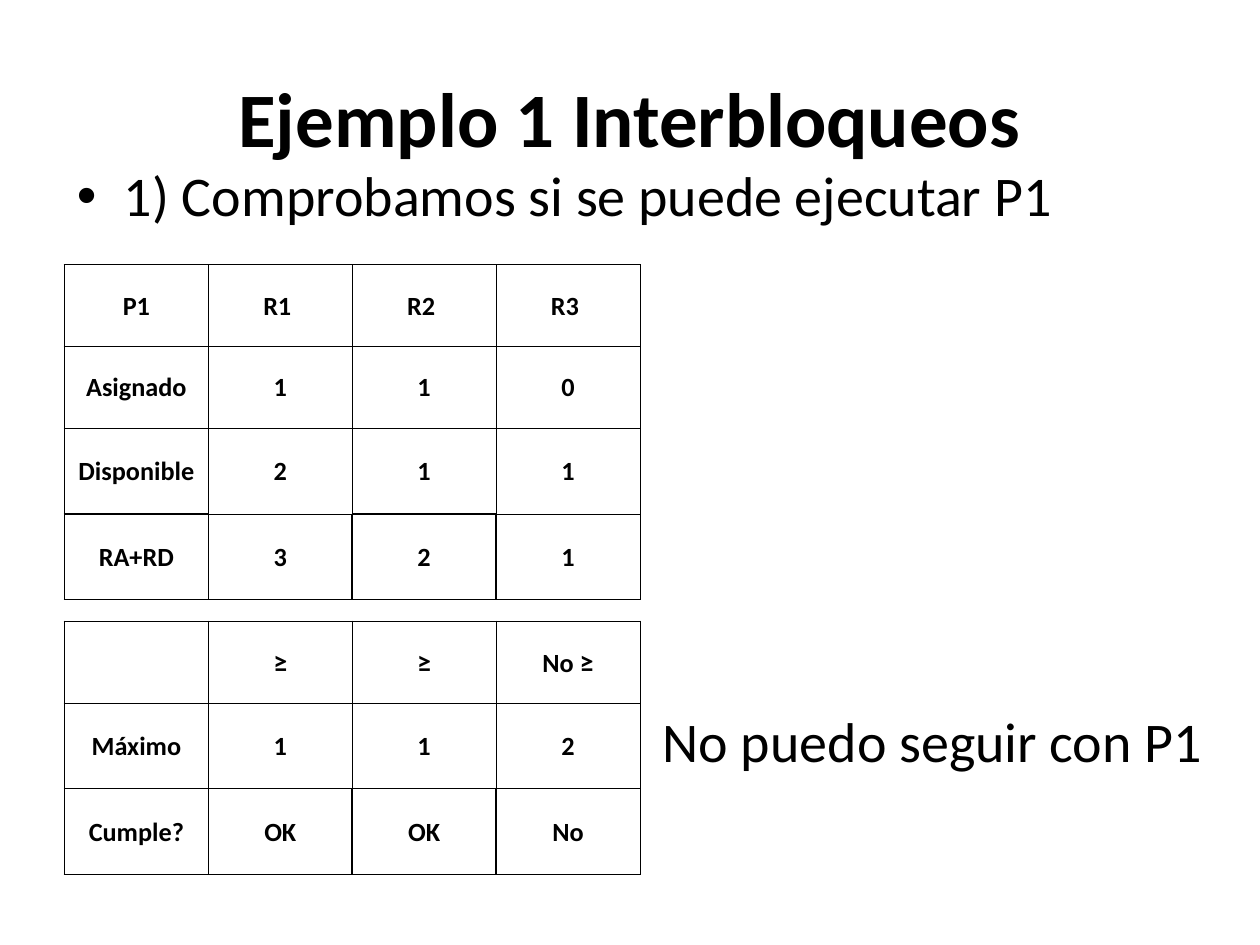
from lxml import etree
from pptx import Presentation, util as u
from pptx.dml.color import RGBColor
from pptx.enum import text
from pptx.oxml.ns import qn

BLACK = RGBColor(0x00, 0x00, 0x00)
THIN, THICK = u.Pt(0.5), u.Pt(1)
LABEL_SIZE, SIGN_SIZE = 15, 16


def write(paragraph, words, size, bold=False):
    run = paragraph.add_run()
    run.text = words
    run.font.color.rgb = BLACK
    font_format = {"name": "Calibri", "size": u.Pt(size), "bold": bold}
    for key, value in font_format.items():
        setattr(run.font, key, value)


def border(cell, side, width):
    line = etree.SubElement(cell._tc.get_or_add_tcPr(), qn(f"a:ln{side}"), w=str(width))
    fill = etree.SubElement(line, qn("a:solidFill"))
    etree.SubElement(fill, qn("a:srgbClr"), val=str(BLACK))


deck = Presentation()
deck.slide_width, deck.slide_height = u.Cm(25.4), u.Cm(19.05)
slide = deck.slides.add_slide(deck.slide_layouts[6])

# Title, step and conclusion: box in cm, anchor, alignment, size, bold, hanging indent, bullet
MIDDLE, TOP = text.MSO_ANCHOR.MIDDLE, text.MSO_ANCHOR.TOP
CENTER, LEFT = text.PP_ALIGN.CENTER, text.PP_ALIGN.LEFT
statements = [
    ("Ejemplo 1 Interbloqueos", (1.27, 0.76, 22.86, 3.18), MIDDLE, CENTER, 44, True, 0, None),
    ("No puedo seguir con P1", (13.11, 14.12, 11.4, 3.4), TOP, LEFT, 32, False, 0.95, None),
    ("1) Comprobamos si se puede ejecutar P1", (1.3, 3.12, 22.6, 2.21), TOP, LEFT, 32, False, 0.95, "•"),
]
for words, box, anchor, align, size, bold, indent, bullet in statements:
    frame = slide.shapes.add_textbox(*map(u.Cm, box)).text_frame
    frame.word_wrap = True
    frame.vertical_anchor = anchor
    paragraph = frame.paragraphs[0]
    paragraph.alignment = align
    properties = paragraph._p.get_or_add_pPr()
    properties.set("marL", str(u.Cm(indent)))
    properties.set("indent", str(-u.Cm(indent)))
    if bullet:
        etree.SubElement(properties, qn("a:buFont"), typeface="Arial")
        etree.SubElement(properties, qn("a:buChar"), char=bullet)
    write(paragraph, words, size, bold)

# Resources of P1, then the check against its maximum: top and row heights in cm
resources = [
    ["P1", "R1 ", "R2 ", "R3 "],
    ["Asignado", "1", "1", "0"],
    ["Disponible", "2", "1", "1"],
    ["RA+RD", "3", "2", "1"],
]
check = [
    ["", "≥", "≥", "No ≥"],
    ["Máximo", "1", "1", "2"],
    ["Cumple?", "OK", "OK", "No"],
]
cell_format = {
    "margin_left": u.Cm(0.03), "margin_right": u.Cm(0.03),
    "margin_top": u.Cm(0.03), "margin_bottom": 0,
    "vertical_anchor": MIDDLE,
}
for rows, top, heights in [
    (resources, 5.33, [1.65, 1.65, 1.73, 1.73]),
    (check, 12.52, [1.65, 1.73, 1.73]),
]:
    grid = slide.shapes.add_table(
        len(rows), 4, u.Cm(1.3), u.Cm(top), u.Cm(11.6), u.Cm(sum(heights))
    ).table
    grid.first_row = grid.horz_banding = False
    for column in grid.columns:
        column.width = u.Cm(2.9)
    last = len(rows) - 1
    for r, (values, height) in enumerate(zip(rows, heights)):
        grid.rows[r].height = u.Cm(height)
        # Numbers of the vertical grid lines that are thick in this row
        thick_lines = (0, 2, 3) if r == last else (0, 1)
        for c, value in enumerate(values):
            cell = grid.cell(r, c)
            for key, setting in cell_format.items():
                setattr(cell, key, setting)
            thick_sides = {
                "L": c in thick_lines,
                "R": c + 1 in thick_lines,
                "T": r == last and c in (0, 2),
                "B": r == last or (r == last - 1 and c in (0, 2)),
            }
            for side, thick in thick_sides.items():
                border(cell, side, THICK if thick else THIN)
            cell.fill.background()
            paragraph = cell.text_frame.paragraphs[0]
            paragraph.alignment = CENTER
            # The comparison sign is set slightly larger than the labels
            label, sign, _ = value.partition("≥")
            for words, size in ((label, LABEL_SIZE), (sign, SIGN_SIZE)):
                if words:
                    write(paragraph, words, size, True)

deck.save("out.pptx")
